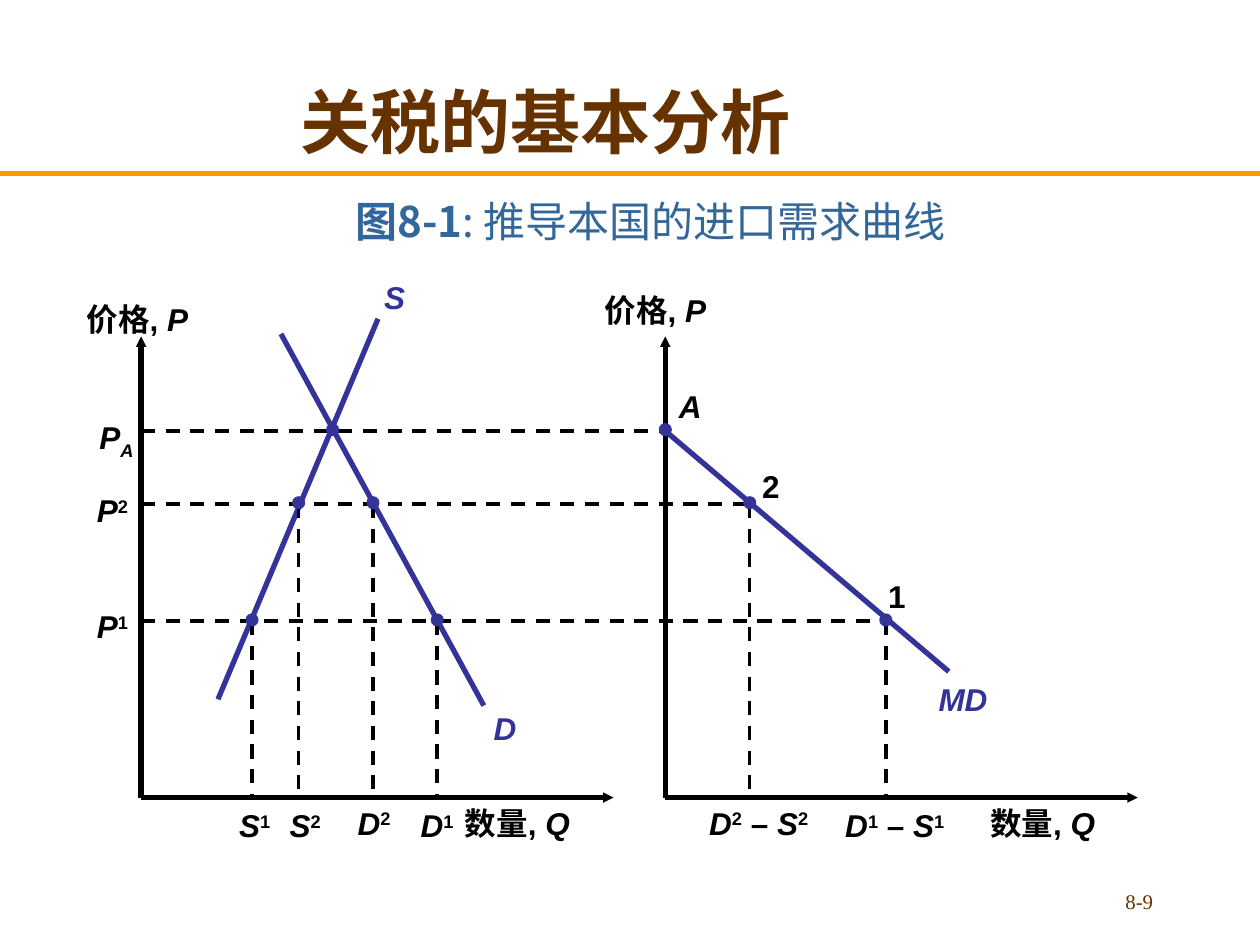
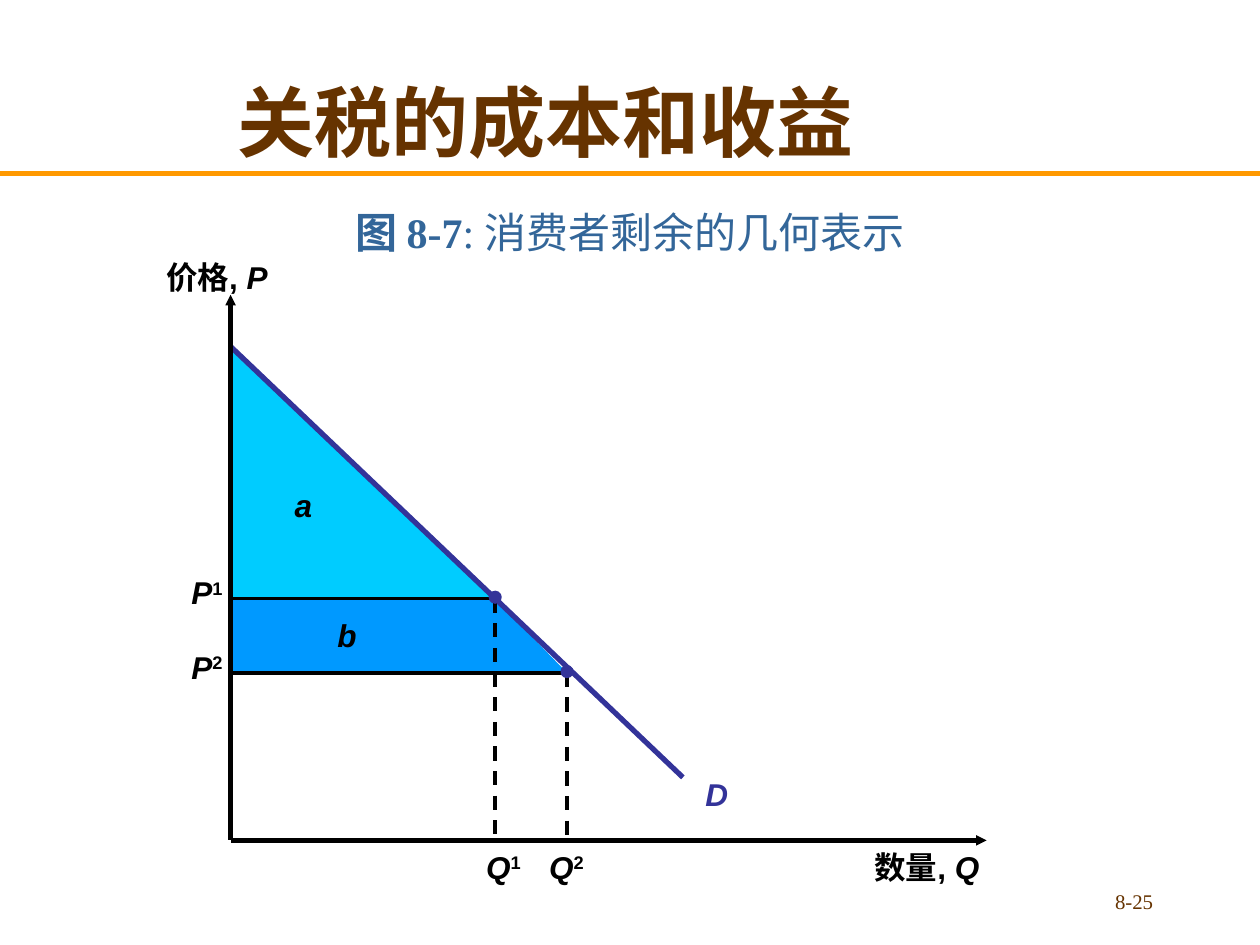
from dataclasses import dataclass

from lxml import etree
from pptx import Presentation
from pptx.dml.color import RGBColor
from pptx.enum import dml, shapes, text
from pptx.oxml import ns
from pptx.util import Inches, Pt

COLORS = {
    "title": "663300", "band": "FF9900", "caption": "336699", "ink": "000000",
    "curve": "333399", "upper": "00CCFF", "lower": "0099FF", "edge": "808080",
}
SANS, SERIF, CHINESE = "Arial", "Times New Roman", "Noto Sans CJK SC"
RUN_STYLES = {
    "plain": ({}, 0),
    "italic": ({"italic": True}, 0),
    "raised": ({}, 30000),
    "lowered": ({"italic": True}, -25000),
    "regular": ({"bold": False}, 0),
    "serif": ({"name": SERIF}, 0),
    "serif regular": ({"name": SERIF, "bold": False}, 0),
}
CAPTION = {"name": CHINESE, "size": Pt(24), "bold": True}
LABEL = {"name": SANS, "size": Pt(18), "bold": True}
DOT = 0.09


@dataclass
class Box:
    """A region in inches; its origin is the top left corner."""
    left: float
    top: float
    width: float
    height: float

    def place(self, x, y):
        """Return slide lengths for a point inside the region."""
        return Inches(self.left + x), Inches(self.top + y)


MARKET = Box(1.12, 2.67, 3.75, 3.66)
IMPORTS = Box(5.28, 2.67, 3.75, 3.66)
SURPLUS = Box(1.83, 2.34, 6, 4.33)
TITLE = Box(0.08, 0.33, 8.5, 1.25)
NUMBER = Box(7.17, 7, 2.08, 0.31)
PRICES = {"A": 0.75, "2": 1.33, "1": 2.26}


def color(name):
    """Look up a colour by its role."""
    return RGBColor.from_string(COLORS[name])


def apply(target, values):
    """Set attributes of an object from a dict."""
    for name, value in values.items():
        setattr(target, name, value)


def write(frame, runs, base, ink, align):
    """Fill the first paragraph of a frame with styled runs."""
    paragraph = frame.paragraphs[0]
    paragraph.alignment = align
    for words, style in runs:
        run = paragraph.add_run()
        run.text = words
        changes, baseline = RUN_STYLES[style]
        run.font.color.rgb = color(ink)
        apply(run.font, {**base, **changes})
        properties = run.font._element
        etree.SubElement(properties, ns.qn("a:ea"), typeface=CHINESE)
        if baseline:
            properties.set("baseline", str(baseline))


def text_box(slide, box, runs, base, ink, align, **frame_values):
    """Add a text box that fills the region."""
    shape = slide.shapes.add_textbox(
        *box.place(0, 0), Inches(box.width), Inches(box.height))
    apply(shape.text_frame, {"word_wrap": True, **frame_values})
    write(shape.text_frame, runs, base, ink, align)


def label(slide, box, x, y, width, runs, ink="ink"):
    """Add a one-line chart label, with spare room on its right."""
    text_box(slide, Box(box.left + x, box.top + y, width, 0.4), runs, LABEL, ink,
             text.PP_ALIGN.LEFT, margin_right=0)


def indexed(letter, index):
    """Return runs for a variable with a raised index."""
    return [(letter, "italic"), (index, "raised")]


def line(slide, box, start, end, ink="ink", weight=3, dashed=False, arrow=False):
    """Draw a straight line between two points of the region."""
    connector = slide.shapes.add_connector(
        shapes.MSO_CONNECTOR.STRAIGHT, *box.place(*start), *box.place(*end))
    connector.line.color.rgb = color(ink)
    connector.line.width = Pt(weight)
    if dashed:
        connector.line.dash_style = dml.MSO_LINE.DASH
    if arrow:
        etree.SubElement(connector.line._get_or_add_ln(), ns.qn("a:headEnd"),
                         type="triangle", w="sm", len="sm")
    etree.SubElement(connector._element.spPr, ns.qn("a:effectLst"))
    return connector


def area(slide, box, kind, x, y, width, height, fill, edge=None):
    """Add a filled preset shape at a point of the region."""
    shape = slide.shapes.add_shape(
        kind, *box.place(x, y), Inches(width), Inches(height))
    shape.shadow.inherit = False
    shape.fill.solid()
    shape.fill.fore_color.rgb = color(fill)
    if edge:
        shape.line.color.rgb = color(edge)
        shape.line.width = Pt(1)
    else:
        shape.line.fill.background()


def dot(slide, box, x, y):
    """Mark a point of a curve."""
    area(slide, box, shapes.MSO_SHAPE.OVAL, x - DOT / 2, y - 0.01 - DOT / 2,
         DOT, DOT, "curve", "curve")


def axes(slide, box, price_at, quantity_at):
    """Draw both axes along the region and name them."""
    origin = (0, box.height)
    line(slide, box, (0, 0), origin, arrow=True)
    line(slide, box, (box.width, box.height), origin, arrow=True)
    label(slide, box, *price_at, 1.06, [("价格, ", "plain"), ("P", "italic")])
    label(slide, box, *quantity_at, 1.09, [("数量, ", "plain"), ("Q", "italic")])


def drop(slide, box, x, y):
    """Mark a point and drop a dashed line to the quantity axis."""
    line(slide, box, (x, y), (x, box.height), weight=2, dashed=True)
    dot(slide, box, x, y)


def market_panel(slide, box):
    """Draw domestic supply and demand."""
    axes(slide, box, (-0.53, -0.34), (2.47, box.height))
    line(slide, box, (1.11, -0.02), (2.72, 2.93), "curve")
    line(slide, box, (1.88, -0.14), (0.61, 2.88), "curve")
    label(slide, box, 2.7, 2.91, 0.38, [("D", "italic")], "curve")
    label(slide, box, 1.83, -0.51, 0.36, [("S", "italic")], "curve")
    dot(slide, box, 1.52, PRICES["A"])
    quantities = [
        ("S", "1", 0.88, 0.68, 0.02), ("S", "2", 1.25, 1.08, 0.02),
        ("D", "2", 1.84, 1.62, 0), ("D", "1", 2.35, 2.12, 0.02),
    ]
    for letter, index, x, label_x, gap in quantities:
        drop(slide, box, x, PRICES[index])
        label(slide, box, label_x, box.height + gap, 0.46, indexed(letter, index))
    label(slide, box, -0.43, 0.6, 0.47, [("P", "italic"), ("A", "lowered")])
    for index, y in (("2", 1.18), ("1", 2.1)):
        label(slide, box, -0.45, y, 0.45, indexed("P", index))


def import_panel(slide, box):
    """Draw the import demand curve."""
    axes(slide, box, (-0.58, -0.41), (2.48, box.height))
    line(slide, box, (0, PRICES["A"]), (2.25, 2.66), "curve")
    label(slide, box, 2.07, 2.68, 0.59, [("MD", "italic")], "curve")
    dot(slide, box, 0, PRICES["A"])
    label(slide, box, 0.01, 0.35, 0.38, [("A", "italic")])
    points = [("2", 0.67, 0.67, 0.99, 0.25, 0), ("1", 1.75, 1.67, 1.86, 1.33, 0.02)]
    for index, x, name_x, name_y, label_x, gap in points:
        drop(slide, box, x, PRICES[index])
        label(slide, box, name_x, name_y, 0.34, [(index, "plain")])
        label(slide, box, label_x, box.height + gap, 0.98,
              indexed("D", index) + [(" – ", "plain")] + indexed("S", index))


def surplus_panel(slide, box):
    """Draw the demand curve and the consumer surplus areas."""
    start, first, second = (0, 0.41), (2.1, 2.41), (2.67, 3)
    step = second[1] - first[1]
    triangle = shapes.MSO_SHAPE.RIGHT_TRIANGLE
    area(slide, box, triangle, *start, first[0], first[1] - start[1], "upper", "edge")
    area(slide, box, shapes.MSO_SHAPE.RECTANGLE, 0, first[1], first[0], step, "lower")
    area(slide, box, triangle, *first, second[0] - first[0], step, "lower")
    label(slide, box, 0.41, 1.47, 0.34, [("a", "italic")])
    label(slide, box, 0.75, 2.5, 0.35, [("b", "italic")])
    line(slide, box, start, (3.59, 3.83), "curve")
    label(slide, box, 3.67, 3.76, 0.38, [("D", "italic")], "curve")
    axes(slide, box, (-0.61, -0.34), (5.01, box.height + 0.01))
    for index, (x, y), label_x in (("1", first, 1.93), ("2", second, 2.43)):
        line(slide, box, (0, y), (x, y), weight=2)
        drop(slide, box, x, y)
        label(slide, box, label_x, box.height + 0.01, 0.47, indexed("Q", index))
        label(slide, box, -0.41, y - 0.25, 0.45, indexed("P", index))


def framed_slide(presentation, layout, heading, heading_format, caption, caption_box, number):
    """Add a slide with its title, caption and number."""
    slide = presentation.slides.add_slide(layout)
    title = slide.shapes.title
    left, top = TITLE.place(0, 0)
    apply(title, {"left": left, "top": top, "width": Inches(TITLE.width),
                  "height": Inches(TITLE.height)})
    apply(title.text_frame, {"vertical_anchor": text.MSO_ANCHOR.MIDDLE,
                             "auto_size": text.MSO_AUTO_SIZE.NONE})
    write(title.text_frame, [(heading, "plain")], {"bold": True, **heading_format},
          "title", text.PP_ALIGN.CENTER)
    text_box(slide, caption_box, caption, CAPTION, "caption", text.PP_ALIGN.CENTER,
             vertical_anchor=text.MSO_ANCHOR.BOTTOM)
    text_box(slide, NUMBER, [(number, "plain")], {"name": SERIF, "size": Pt(11.9)},
             "title", text.PP_ALIGN.RIGHT)
    return slide


def import_demand_slide(presentation, layout):
    """Build the slide that derives import demand."""
    slide = framed_slide(
        presentation, layout, "关税的基本分析", {"name": CHINESE, "size": Pt(40)},
        [("图8-1", "plain"), (": 推导本国的进口需求曲线", "regular")],
        Box(0, 0.75, 10.33, 1.25), "8-9")
    gap = IMPORTS.left - MARKET.left
    for index, x in (("A", 0), ("2", 0.67), ("1", 1.75)):
        y = PRICES[index]
        line(slide, MARKET, (0, y), (gap + x, y), weight=2, dashed=True)
    market_panel(slide, MARKET)
    import_panel(slide, IMPORTS)
    return slide


def surplus_slide(presentation, layout):
    """Build the slide on consumer surplus."""
    slide = framed_slide(
        presentation, layout, "关税的成本和收益", {"name": SERIF, "size": Pt(44)},
        [("图 ", "plain"), ("8-7", "serif"), (": ", "serif regular"),
         ("消费者剩余的几何表示", "regular")],
        Box(0, 1.42, 10, 0.67), "8-25")
    surplus_panel(slide, SURPLUS)


def main():
    """Build and save the presentation."""
    presentation = Presentation()
    apply(presentation, {"slide_width": Inches(10), "slide_height": Inches(7.5)})
    layout = presentation.slide_layouts[5]
    slide = import_demand_slide(presentation, layout)
    band = line(slide, Box(0, 1.38, 10, 0), (0, 0), (10, 0), "band")
    layout.shapes.element.append(band._element)
    surplus_slide(presentation, layout)
    presentation.save("out.pptx")


if __name__ == "__main__":
    main()
